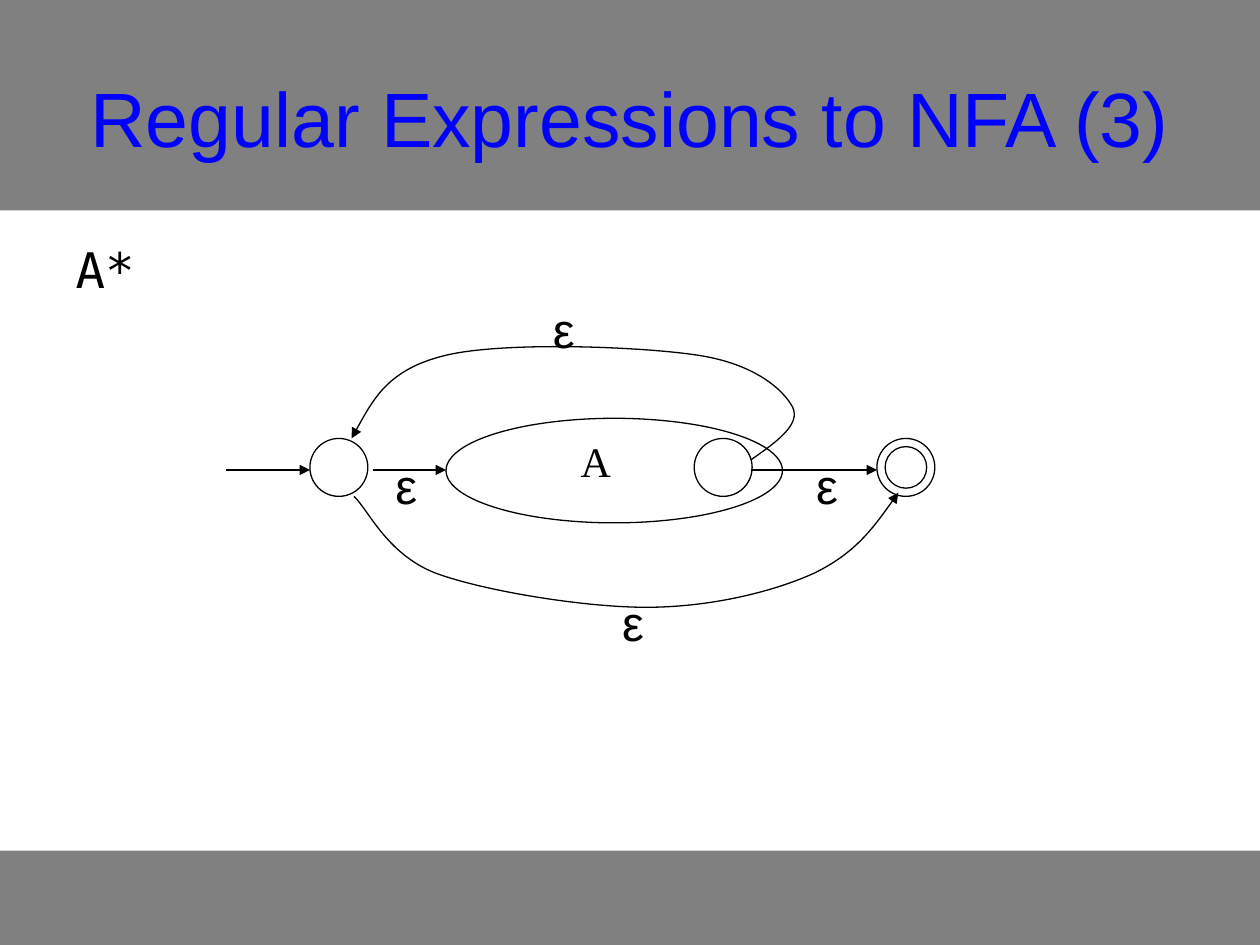
from lxml.etree import SubElement
from pptx import Presentation
from pptx.dml.color import RGBColor
from pptx.enum.shapes import MSO_CONNECTOR as Conn, MSO_SHAPE as Shape
from pptx.enum.text import MSO_ANCHOR as Anchor, MSO_AUTO_SIZE as Fit, PP_ALIGN as Align
from pptx.oxml.ns import qn
from pptx.util import Inches, Pt

COLS, ROWS = 100, 75
GRAY, BLUE, BLACK = "808080", "0000FF", "000000"


def rgb(value):
    return RGBColor.from_string(value)


class Diagram:
    """Draws on one slide; every length is in grid columns and rows."""

    def __init__(self, prs):
        self.slide = prs.slides.add_slide(prs.slide_layouts[1])
        self.shapes = self.slide.shapes
        self.cell_w = prs.slide_width / COLS
        self.cell_h = prs.slide_height / ROWS

    def emu(self, x, y):
        return round(x * self.cell_w), round(y * self.cell_h)

    def box(self, x, y, w, h):
        return *self.emu(x, y), *self.emu(w, h)

    def outline(self, s, arrow=False):
        s.line.color.rgb = rgb(BLACK)
        s.line.width = Pt(0.75)
        if arrow:
            ln = s._element.spPr.find(qn("a:ln"))
            SubElement(ln, qn("a:tailEnd"), type="triangle")

    def band(self, y, h):
        s = self.shapes.add_shape(Shape.RECTANGLE, *self.box(0, y, COLS, h))
        s.shadow.inherit = False
        s.fill.solid()
        s.fill.fore_color.rgb = rgb(GRAY)
        s.line.fill.background()
        # Keep the band behind the placeholders
        self.shapes._spTree.insert(2, s._element)

    def set_text(self, s, text, size, font, color=BLACK, align=Align.LEFT):
        tf = s.text_frame
        tf.text = text
        p = tf.paragraphs[0]
        p.alignment = align
        p.space_before = Pt(0)
        r = p.runs[0]
        r.font.size, r.font.name = Pt(size), font
        r.font.color.rgb = rgb(color)
        return tf, p

    def place(self, s, x, y, w, h):
        s.left, s.top, s.width, s.height = self.box(x, y, w, h)

    def title(self, text):
        s = self.shapes.title
        self.place(s, 5, 3, 90, 12.5)
        tf, _ = self.set_text(s, text, 44, "Arial", BLUE, Align.CENTER)
        tf.vertical_anchor = Anchor.MIDDLE
        tf.auto_size = Fit.NONE

    def body(self, text):
        s = self.slide.placeholders[1]
        self.place(s, 5, 18.5, 90, 5.8)
        tf, p = self.set_text(s, text, 28, "DejaVu Sans Mono")
        tf.auto_size = Fit.NONE
        pPr = p._p.get_or_add_pPr()
        pPr.set("marL", str(Inches(0.38)))
        pPr.set("indent", str(-Inches(0.38)))
        SubElement(pPr, qn("a:buNone"))

    def label(self, text, x, y, w=3.7, h=5.7, size=28, font="Arial"):
        s = self.shapes.add_textbox(*self.box(x, y, w, h))
        tf, _ = self.set_text(s, text, size, font)
        tf.word_wrap = False
        tf.auto_size = Fit.SHAPE_TO_FIT_TEXT

    def oval(self, x, y, w, h, parent=None):
        s = (parent or self.shapes).add_shape(Shape.OVAL, *self.box(x, y, w, h))
        s.shadow.inherit = False
        s.fill.background()
        self.outline(s)

    def state(self, cx, cy, *diameters):
        group = self.shapes.add_group_shape().shapes if len(diameters) > 1 else self.shapes
        for d in diameters:
            # An empty group is falsy, so it is passed through its own call
            self.ring(group, cx - d / 2, cy - d / 2, d)

    def ring(self, parent, x, y, d):
        s = parent.add_shape(Shape.OVAL, *self.box(x, y, d, d))
        s.shadow.inherit = False
        s.fill.background()
        self.outline(s)

    def arrow(self, x1, x2, y):
        s = self.shapes.add_connector(Conn.STRAIGHT, *self.emu(x1, y), *self.emu(x2, y))
        self.outline(s, arrow=True)
        SubElement(s._element.spPr, qn("a:effectLst"))

    def curve(self, start, *controls):
        """Draws an arrow of cubic arcs, three control points to each arc."""
        builder = self.shapes.build_freeform(*self.emu(*start))
        builder.add_line_segments([self.emu(*pt) for pt in controls], close=False)
        s = builder.convert_to_shape()
        s.shadow.inherit = False
        s.fill.background()
        self.outline(s, arrow=True)
        path = next(s._element.iter(qn("a:path")))
        for i, segment in enumerate(path.findall(qn("a:lnTo"))):
            if i % 3 == 0:
                arc = SubElement(path, qn("a:cubicBezTo"))
            arc.append(segment[0])
            path.remove(segment)


def main():
    prs = Presentation()
    prs.slide_width, prs.slide_height = Inches(10), Inches(7.5)
    d = Diagram(prs)

    # Bands and text
    d.band(0, 16.7)
    d.band(67.5, 7.5)
    d.title("Regular Expressions to NFA (3)")
    d.body("A*")

    # Automaton A and the states
    mid, axis, size = 37.1, 37.3, 4.6
    d.oval(35.4, 33.2, 26.7, 8.3)
    d.label("A", 45.1, 34.1, 4.4, 5, 24, "Times New Roman")
    for cx in (26.9, 57.4):
        d.state(cx, mid, size)
    d.state(71.9, mid, 3.3, size)

    # Straight transitions
    for x1, x2 in ((17.9, 24.6), (29.6, 35.4), (59.6, 69.6)):
        d.arrow(x1, x2, axis)

    # Skip below and loop back above
    d.curve((28.1, 39.4), (29.2, 40.4), (30.7, 44), (34.6, 45.5),
            (38.4, 46.9), (46.3, 48.2), (51.3, 48.2),
            (56.3, 48.2), (61.3, 47), (64.6, 45.5),
            (67.9, 43.9), (69.6, 41.5), (71.3, 39.1))
    d.curve((59.6, 36.5), (61.6, 35.1), (63.6, 33.7), (62.9, 32.3),
            (62.2, 31), (60, 28.9), (55.4, 28.2),
            (50.8, 27.5), (40, 27.1), (35.4, 28.2),
            (30.8, 29.3), (29.4, 32.1), (27.9, 34.8))

    # Empty-word labels
    for x, y in ((30.4, 35.7), (63.8, 35.7), (48.4, 46.5), (42.9, 23.3)):
        d.label("ε", x, y)

    prs.save("out.pptx")


if __name__ == "__main__":
    main()
